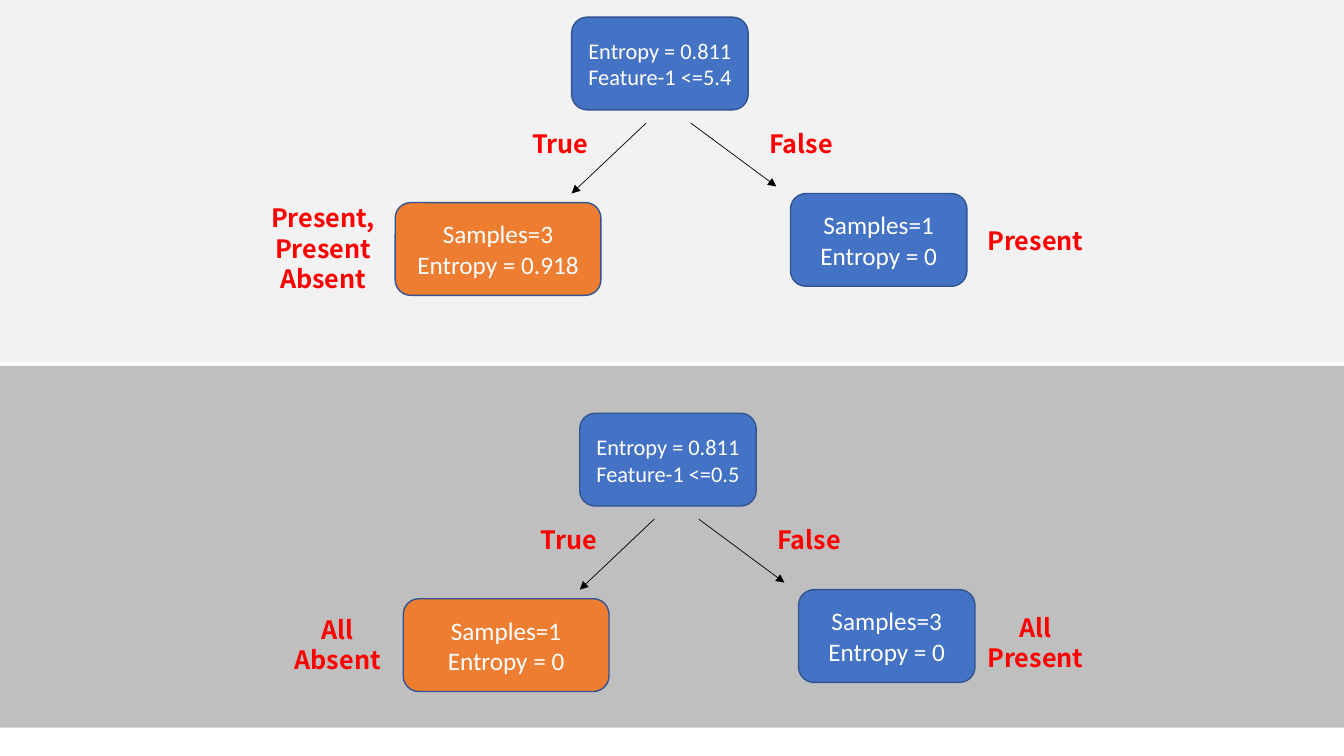
import pptx
import pptx.dml.color
import pptx.enum.shapes
import pptx.enum.text
import pptx.oxml
import pptx.oxml.ns
import pptx.util
from dataclasses import dataclass

Inches = pptx.util.Inches
Pt = pptx.util.Pt
SHAPE = pptx.enum.shapes.MSO_SHAPE


@dataclass
class Theme:
    upper_band: str = "F2F2F2"
    lower_band: str = "BFBFBF"
    blue: str = "4472C4"
    orange: str = "ED7D31"
    border: str = "325491"
    node_text: str = "FFFFFF"
    label_text: str = "FF0000"
    arrow: str = "000000"
    node_font: str = "Calibri"
    label_font: str = "Noto Sans CJK JP"
    root_size: int = 16
    text_size: int = 18
    label_spacing: float = 21.8


class TreeSlide:
    def __init__(self, page, theme):
        self.page = page
        self.theme = theme

    def color(self, value):
        return pptx.dml.color.RGBColor.from_string(value)

    def set_text(self, box, text, font, size, color, bold=False, spacing=None):
        frame = box.text_frame
        frame.text = text
        for para in frame.paragraphs:
            para.alignment = pptx.enum.text.PP_ALIGN.CENTER
            if spacing:
                para.line_spacing = Pt(spacing)
            for span in para.runs:
                span.font.name = font
                span.font.size = Pt(size)
                span.font.bold = bold
                span.font.color.rgb = self.color(color)

    def shape(self, kind, left, top, width, height, fill):
        box = self.page.shapes.add_shape(
            kind, Inches(left), Inches(top), Inches(width), Inches(height))
        box.shadow.inherit = False
        box.fill.solid()
        box.fill.fore_color.rgb = self.color(fill)
        return box

    def band(self, top, fill):
        box = self.shape(SHAPE.RECTANGLE, 0, top, 13.33, 3.59, fill)
        box.line.fill.background()

    def node(self, left, top, width, text, fill, size):
        box = self.shape(SHAPE.ROUNDED_RECTANGLE, left, top, width, 0.92, fill)
        box.line.color.rgb = self.color(self.theme.border)
        box.line.width = Pt(1)
        box.text_frame.word_wrap = True
        box.text_frame.vertical_anchor = pptx.enum.text.MSO_ANCHOR.MIDDLE
        self.set_text(box, text, self.theme.node_font, size, self.theme.node_text)

    def arrow(self, start_x, start_y, end_x, end_y):
        line = self.page.shapes.add_connector(
            pptx.enum.shapes.MSO_CONNECTOR.STRAIGHT,
            Inches(start_x), Inches(start_y), Inches(end_x), Inches(end_y))
        line.line.color.rgb = self.color(self.theme.arrow)
        line.line.width = Pt(0.5)
        outline = line.line._get_or_add_ln()
        head = pptx.oxml.parse_xml(
            '<a:tailEnd %s type="triangle"/>' % pptx.oxml.ns.nsdecls("a"))
        outline.append(head)
        outline.addnext(pptx.oxml.parse_xml(
            "<a:effectLst %s/>" % pptx.oxml.ns.nsdecls("a")))

    def label(self, left, top, width, text):
        height = 0.1 + 0.3 * len(text.split("\n"))
        box = self.page.shapes.add_textbox(
            Inches(left), Inches(top), Inches(width), Inches(height))
        box.text_frame.word_wrap = False
        self.set_text(box, text, self.theme.label_font, self.theme.text_size,
                      self.theme.label_text, True, self.theme.label_spacing)

    def tree(self, x, y, root, true_leaf, false_leaf):
        theme = self.theme
        # Root and its two leaves
        self.node(x, y, 1.75, root, theme.blue, theme.root_size)
        self.node(x + 2.17, y + 1.75, 1.75, false_leaf, theme.blue, theme.text_size)
        self.node(x - 1.75, y + 1.84, 2.04, true_leaf, theme.orange, theme.text_size)
        # Branches
        self.arrow(x + 0.74, y + 1.05, x, y + 1.75)
        self.arrow(x + 1.18, y + 1.05, x + 2.03, y + 1.68)
        self.label(x - 0.51, y + 1.05, 0.8, "True")
        self.label(x + 1.84, y + 1.05, 0.87, "False")


deck = pptx.Presentation()
deck.slide_width = Inches(13.33)
deck.slide_height = Inches(7.5)
theme = Theme()
slide = TreeSlide(deck.slides.add_slide(deck.slide_layouts[6]), theme)

# Background bands
slide.band(3.63, theme.lower_band)
slide.band(0, theme.upper_band)

# Decision trees for the two thresholds
slide.tree(5.67, 0.17, "Entropy = 0.811\nFeature-1 <=5.4",
           "Samples=3\nEntropy = 0.918", "Samples=1\nEntropy = 0")
slide.tree(5.75, 4.1, "Entropy = 0.811\nFeature-1 <=0.5",
           "Samples=1\nEntropy = 0", "Samples=3\nEntropy = 0")

# Classes found in each leaf
slide.label(2.79, 6.04, 1.12, "All\nAbsent")
slide.label(9.67, 6.02, 1.2, "All\nPresent")
slide.label(2.57, 1.96, 1.27, "Present,\nPresent\nAbsent")
slide.label(9.67, 2.18, 1.2, "Present")

deck.save("out.pptx")
